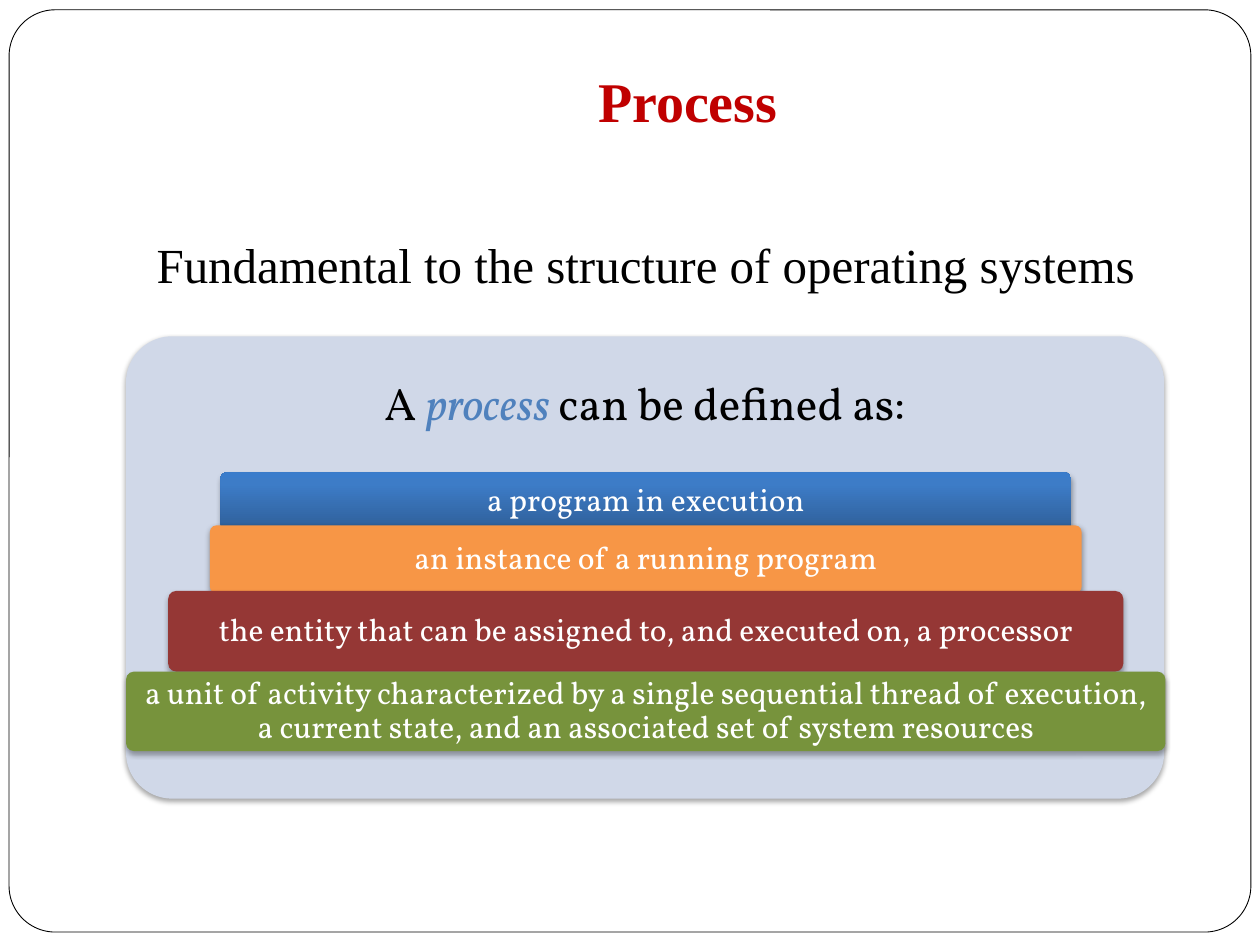
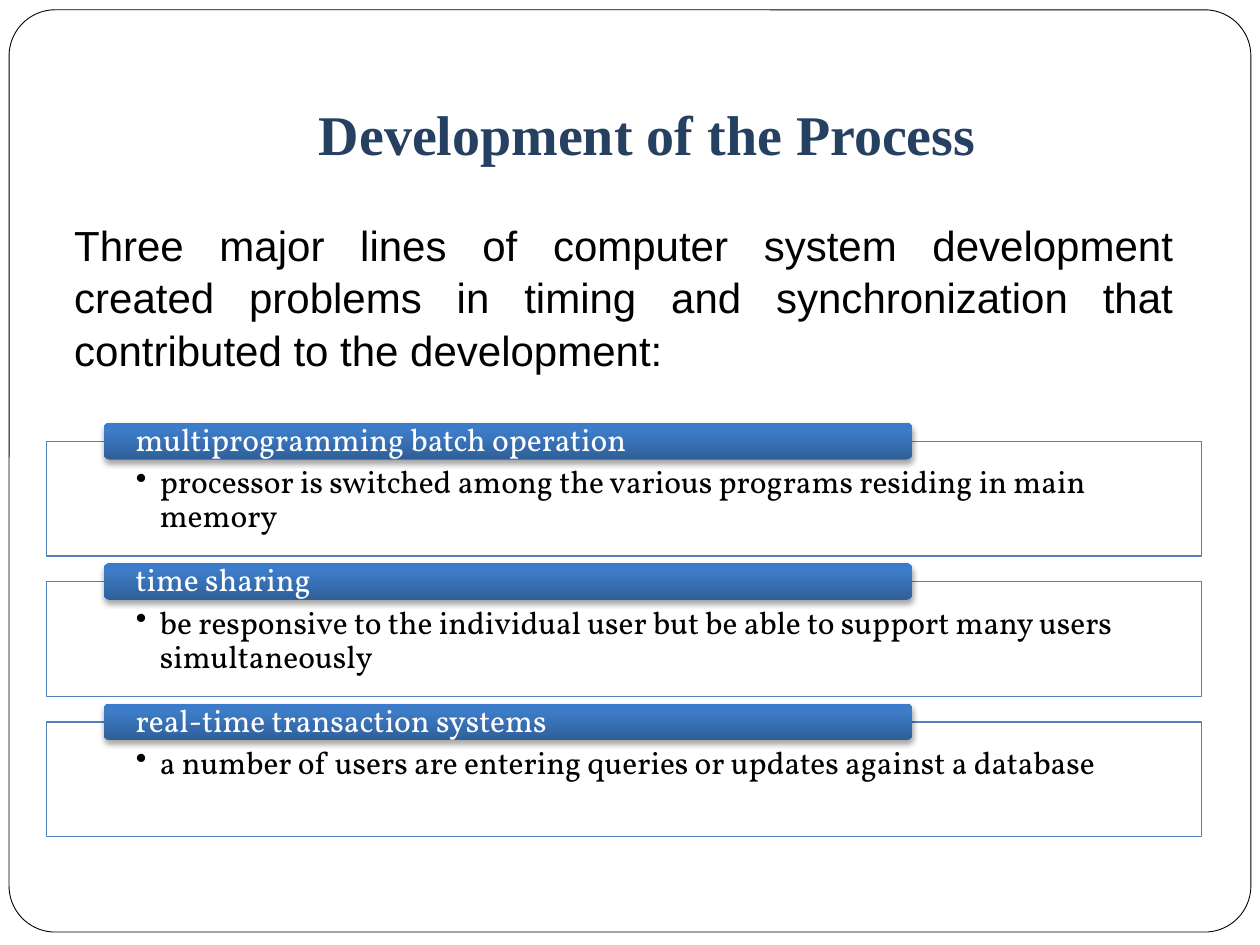
import dataclasses

import lxml.etree
import pptx
import pptx.dml.color
import pptx.enum.shapes
import pptx.enum.text
import pptx.oxml.ns
import pptx.util

Pt = pptx.util.Pt
qn = pptx.oxml.ns.qn
SHAPE = pptx.enum.shapes.MSO_SHAPE
ALIGN = pptx.enum.text.PP_ALIGN
ANCHOR = pptx.enum.text.MSO_ANCHOR


@dataclasses.dataclass(frozen=True)
class Theme:
    # Colours
    black: str = "000000"
    white: str = "FFFFFF"
    red: str = "C00000"
    navy: str = "254061"
    blue: str = "4F81BD"
    pale_blue: str = "D0D8E8"
    orange: str = "F79646"
    maroon: str = "953735"
    green: str = "77933C"
    gradient: tuple = ((0, "2F5F99"), (80, "3D7CC7"), (100, "3A7CCB"))
    # Fonts and type sizes
    serif: str = "Times New Roman"
    sans: str = "Arial"
    diagram: str = "Vollkorn"
    title_size: int = 32
    lead_size: int = 28
    heading_size: int = 26
    body_size: int = 24
    diagram_size: int = 18


THEME = Theme()


def add_child(parent, tag, **attributes):
    """Append an XML child whose attributes are given as keywords."""
    child = lxml.etree.SubElement(parent, qn(tag))
    for name, value in attributes.items():
        child.set(name, str(value))
    return child


def write_text(shape, text, *, size, font=THEME.diagram, color=THEME.black, bold=False,
               align=ALIGN.LEFT, anchor=ANCHOR.TOP, insets=(0, 0), bottom=None,
               spacing=1.0, bullet=None, indent=0):
    """Write one paragraph; text is a string or a list of (string, accent colour)."""
    frame = shape.text_frame
    frame.word_wrap = True
    frame.auto_size = pptx.enum.text.MSO_AUTO_SIZE.NONE
    frame.vertical_anchor = anchor
    across, down = insets
    frame.margin_left = frame.margin_right = Pt(across)
    frame.margin_top = Pt(down)
    frame.margin_bottom = Pt(down if bottom is None else bottom)
    paragraph = frame.paragraphs[0]
    if bullet:
        properties = paragraph._p.get_or_add_pPr()
        properties.set("marL", str(Pt(indent)))
        properties.set("indent", str(-Pt(indent)))
        add_child(properties, "a:buChar", char=bullet)
    paragraph.alignment = align
    paragraph.line_spacing = spacing
    runs = [(text, None)] if isinstance(text, str) else text
    for words, accent in runs:
        run = paragraph.add_run()
        run.text = words
        run.font.name = font
        run.font.size = Pt(size)
        run.font.bold = bold
        run.font.italic = accent is not None
        run.font.color.rgb = pptx.dml.color.RGBColor.from_string(accent or color)


class Deck:
    def __init__(self, theme):
        self.theme = theme
        self.presentation = pptx.Presentation()
        self.presentation.slide_width = Pt(720)
        self.presentation.slide_height = Pt(540)
        self.slide = None

    def start_slide(self, title, bounds, color):
        """Add a slide with its rounded border and title."""
        self.slide = self.presentation.slides.add_slide(self.presentation.slide_layouts[5])
        self.add_shape(SHAPE.ROUNDED_RECTANGLE, (5.2, 5.6, 709.6, 527), corner=0.05,
                       line=self.theme.black, line_width=0.5)
        shape = self.slide.shapes.title
        shape.left, shape.top, shape.width, shape.height = map(Pt, bounds)
        write_text(shape, title, size=self.theme.title_size, font=self.theme.serif,
                   color=color, bold=True, align=ALIGN.CENTER)

    def add_text(self, text, bounds, **text_format):
        write_text(self.slide.shapes.add_textbox(*map(Pt, bounds)), text, **text_format)

    def add_shape(self, kind, bounds, fill=None, opacity=100, line=None, line_width=0.75,
                  corner=None, shadow=False):
        """Add a preset shape; a tuple as fill gives upward gradient stops."""
        shape = self.slide.shapes.add_shape(kind, *map(Pt, bounds))
        shape.shadow.inherit = False
        if corner is not None:
            shape.adjustments[0] = corner
        if fill is None:
            shape.fill.background()
        elif isinstance(fill, tuple):
            self.fill_gradient(shape, fill)
        else:
            shape.fill.solid()
            shape.fill.fore_color.rgb = pptx.dml.color.RGBColor.from_string(fill)
            if opacity < 100:
                color = shape.element.spPr.find(qn("a:solidFill"))[0]
                add_child(color, "a:alpha", val=opacity * 1000)
        if line:
            shape.line.color.rgb = pptx.dml.color.RGBColor.from_string(line)
            shape.line.width = Pt(line_width)
        else:
            shape.line.fill.background()
        if shadow:
            self.add_shadow(shape)
        return shape

    def fill_gradient(self, shape, stops):
        shape.fill.gradient()
        shape.fill.gradient_angle = 90
        stop_list = shape.element.spPr.find(".//" + qn("a:gsLst"))
        for old_stop in list(stop_list):
            stop_list.remove(old_stop)
        for position, color in stops:
            stop = add_child(stop_list, "a:gs", pos=position * 1000)
            add_child(stop, "a:srgbClr", val=color)

    def add_shadow(self, shape):
        effects = shape.element.spPr.find(qn("a:effectLst"))
        outer = add_child(effects, "a:outerShdw", blurRad=Pt(3.1), dist=Pt(1.8),
                          dir=5400000, rotWithShape=0)
        color = add_child(outer, "a:srgbClr", val=self.theme.black)
        add_child(color, "a:alpha", val=35000)

    def add_bar(self, text, bounds, fill, corner=0.1, **text_format):
        """Add a shadowed bar with a white label."""
        shape = self.add_shape(SHAPE.ROUNDED_RECTANGLE, bounds, fill=fill, corner=corner,
                               shadow=True)
        write_text(shape, text, size=self.theme.diagram_size, color=self.theme.white,
                   anchor=ANCHOR.MIDDLE, spacing=0.9, **text_format)


def build_process(deck):
    theme = deck.theme
    deck.start_slide("Process", (97.2, 38.2, 591.8, 38.9), theme.red)
    deck.add_text("Fundamental to the structure of operating systems",
                  (33.1, 133.9, 671.8, 33.8), size=theme.lead_size, font=theme.serif,
                  align=ALIGN.CENTER)

    # Definition panel
    deck.add_shape(SHAPE.ROUNDED_RECTANGLE, (72, 192.2, 593.3, 264.2),
                   fill=theme.pale_blue, corner=0.1, shadow=True)
    deck.add_text([("A ", None), ("process ", theme.blue), ("can be defined as:", None)],
                  (72, 192.2, 593.3, 79.2), size=theme.heading_size, align=ALIGN.CENTER,
                  anchor=ANCHOR.MIDDLE, insets=(7.9, 7.9), spacing=0.9)

    # Widening bars on one centre line: text, top, width, height, fill
    center = 369
    definitions = [
        ("a program in execution", 270, 486, 33.1, theme.gradient),
        ("an instance of a running program", 300.2, 498.2, 38.9, theme.orange),
        ("the entity that can be assigned to, and executed on, a processor",
         337.7, 545.8, 46.1, theme.maroon),
        ("a unit of activity characterized by a single sequential thread of execution, "
         "a current state, and an associated set of system resources",
         383.8, 594, 45.4, theme.green),
    ]
    for text, top, width, height, fill in definitions:
        deck.add_bar(text, (center - width / 2, top, width, height), fill,
                     align=ALIGN.CENTER, insets=(3.6, 2.9))


def build_development(deck):
    theme = deck.theme
    deck.start_slide("Development of the Process", (61.9, 56.9, 616.3, 38.9), theme.navy)
    deck.add_text("Three major lines of computer system development created problems in "
                  "timing and synchronization that contributed to the development:",
                  (35.3, 120.2, 642.2, 121), size=theme.body_size, font=theme.sans,
                  align=ALIGN.JUSTIFY, insets=(7.2, 3.6), spacing=1.05)

    # Outlined boxes, each with a tab centred on its top edge
    first_top, pitch, tab_height = 252.2, 80.2, 20.9
    developments = [
        ("multiprogramming batch operation",
         "processor is switched among the various programs residing in main memory"),
        ("time sharing",
         "be responsive to the individual user but be able to support many users "
         "simultaneously"),
        ("real-time transaction systems",
         "a number of users are entering queries or updates against a database"),
    ]
    for index, (heading, detail) in enumerate(developments):
        top = first_top + index * pitch
        box = deck.add_shape(SHAPE.RECTANGLE, (26.6, top, 660.2, 65.5), fill=theme.white,
                             opacity=90, line=theme.blue)
        write_text(box, detail, size=theme.diagram_size, insets=(51.1, 14.4), bottom=10.1,
                   spacing=0.9, bullet="•", indent=13.7)
        deck.add_bar(heading, (59.2, top - tab_height / 2, 462.2, tab_height),
                     theme.gradient, corner=0.17, insets=(17.3, 0))


def main():
    deck = Deck(THEME)
    build_process(deck)
    build_development(deck)
    deck.presentation.save("out.pptx")


if __name__ == "__main__":
    main()
